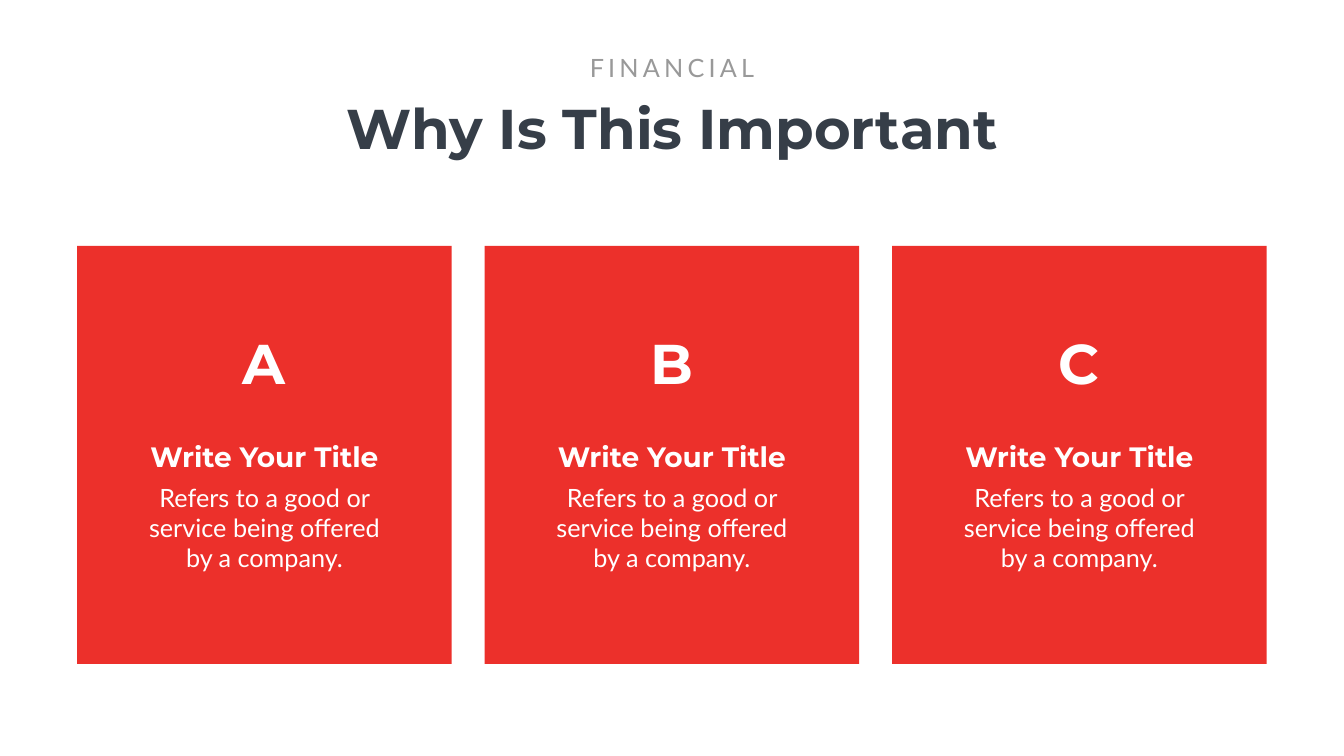
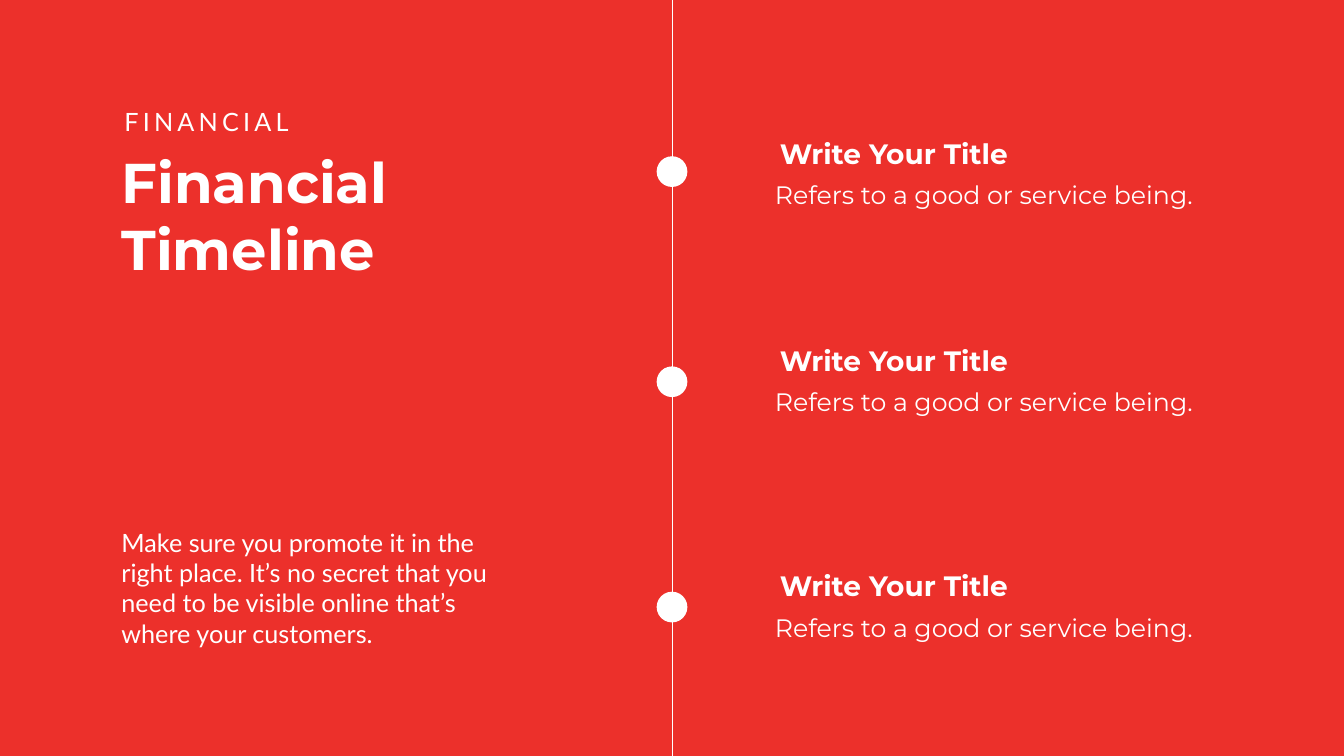
"""Builds two financial slides: three lettered cards and a vertical timeline."""
import pptx
import pptx.dml.color
import pptx.enum.shapes
import pptx.enum.text
import pptx.oxml.xmlchemy
import pptx.util
from pptx.oxml import parse_xml

Pt = pptx.util.Pt
SLIDE_WIDTH, SLIDE_HEIGHT = 1919.52, 1080
COLORS = {"red": "EC302B", "white": "FFFFFF", "slate": "363E48", "gray": "999999"}
FONTS = {
    "headline": {"name": "Montserrat", "size": Pt(80), "bold": True},
    "subtitle": {"name": "Montserrat", "size": Pt(40), "bold": True},
    "entry": {"name": "Montserrat", "size": Pt(36)},
    "body": {"name": "Lato", "size": Pt(36)},
}
FRAME = {"word_wrap": True, "auto_size": pptx.enum.text.MSO_AUTO_SIZE.SHAPE_TO_FIT_TEXT}
ROOMY = {"margin_left": Pt(17.28), "margin_right": Pt(17.28),
         "margin_top": Pt(8.64), "margin_bottom": Pt(8.64)}
CENTER = pptx.enum.text.PP_ALIGN.CENTER
LEFT = pptx.enum.text.PP_ALIGN.LEFT
RECTANGLE = pptx.enum.shapes.MSO_SHAPE.RECTANGLE
OVAL = pptx.enum.shapes.MSO_SHAPE.OVAL
NO_EFFECTS = '<a:effectLst xmlns:a="http://schemas.openxmlformats.org/drawingml/2006/main"/>'


def rgb(color):
    """Return the named colour."""
    return pptx.dml.color.RGBColor.from_string(COLORS[color])


def apply(target, values):
    """Set each attribute in values on target."""
    for name, value in values.items():
        setattr(target, name, value)


def add_words(shapes, words, box, font, color="white", align=LEFT, frame=None, spacing=None):
    """Add a text box filling box (left, top, width, height)."""
    text_frame = shapes.add_textbox(*map(Pt, box)).text_frame
    apply(text_frame, FRAME | (frame or {}))
    paragraph = text_frame.paragraphs[0]
    paragraph.alignment = align
    run = paragraph.add_run()
    run.text = words
    apply(run.font, FONTS[font])
    run.font.color.rgb = rgb(color)
    if spacing:
        run.font._element.set("spc", str(spacing * 100))


def add_block(slide, preset, box, color):
    """Add a flat filled shape without outline."""
    block = slide.shapes.add_shape(preset, *map(Pt, box))
    block.shadow.inherit = False
    block.fill.solid()
    block.fill.fore_color.rgb = rgb(color)
    block.line.fill.background()


def add_heading(slide, headline, box, eyebrow_left, eyebrow_color, color, align):
    """Add the headline in box with the spaced section name above it."""
    heading = slide.shapes.add_group_shape().shapes
    add_words(heading, headline, box, "headline", color, align)
    eyebrow_box = (eyebrow_left, box[1] - 58.3, 265, 51.1)
    add_words(heading, "FINANCIAL", eyebrow_box, "body", eyebrow_color, align, spacing=6)


def add_card(slide, letter, box):
    """Add a red card with its letter, title and description."""
    left, top, width, height = box
    add_block(slide, RECTANGLE, box, "red")

    def centered(offset, part_width, part_height):
        return left + (width - part_width) / 2, top + offset, part_width, part_height

    add_words(slide.shapes, letter, centered(113.8, 166.3, 104.4), "headline", align=CENTER)
    caption = slide.shapes.add_group_shape().shapes
    add_words(caption, "Refers to a good or service being offered by a company.",
              centered(329, 376.6, 148.3), "body", align=CENTER, frame=ROOMY)
    add_words(caption, "Write Your Title", centered(272.9, 408.2, 55.4), "subtitle", align=CENTER)


def add_milestone(slide, left, top):
    """Add a timeline title and its description."""
    milestone = slide.shapes.add_group_shape().shapes
    add_words(milestone, "Refers to a good or service being.",
              (left, top + 56.2, 663.8, 61.2), "entry", frame=ROOMY)
    add_words(milestone, "Write Your Title", (left + 17.28, top, 408.2, 55.4), "subtitle")


def add_axis(slide, center, dot_tops, dot_size):
    """Add the vertical line and its dots."""
    axis = slide.shapes.add_connector(pptx.enum.shapes.MSO_CONNECTOR.STRAIGHT,
                                      Pt(center), Pt(0), Pt(center), Pt(SLIDE_HEIGHT))
    axis.line.color.rgb = rgb("white")
    axis.line.width = Pt(0.5)
    axis._element.spPr.append(parse_xml(NO_EFFECTS))
    for top in dot_tops:
        add_block(slide, OVAL, (center - dot_size / 2, top, dot_size, dot_size), "white")


def build_importance(slide):
    """Build the slide with three cards."""
    card_left, card_step = 110.2, 581.9
    for index, letter in enumerate("ABC"):
        add_card(slide, letter, (card_left + index * card_step, 351.4, 535, 596.9))
    add_heading(slide, "Why Is This Important", (393.8, 129.6, 1132.6, 104.4),
                827.3, "gray", "slate", CENTER)


def build_timeline(slide):
    """Build the red timeline slide."""
    add_block(slide, RECTANGLE, (0, 0, SLIDE_WIDTH, SLIDE_HEIGHT), "red")
    add_words(slide.shapes,
              "Make sure you promote it in the right place. It’s no secret that you need "
              "to be visible online that’s where your customers.",
              (166.3, 749.5, 571, 181.4), "body")
    for top in (190.8, 487.4, 809.3):
        add_milestone(slide, 1089.4, top)
    add_heading(slide, "Financial Timeline", (166.3, 206.6, 461.5, 200.9),
                170.6, "white", "white", LEFT)
    add_axis(slide, SLIDE_WIDTH / 2, (223.2, 523.4, 845.3), 43.9)


def main():
    """Build and save the deck."""
    deck = pptx.Presentation()
    apply(deck, {"slide_width": Pt(SLIDE_WIDTH), "slide_height": Pt(SLIDE_HEIGHT)})
    for build in (build_importance, build_timeline):
        build(deck.slides.add_slide(deck.slide_layouts[6]))
    deck.save("out.pptx")


if __name__ == "__main__":
    main()
